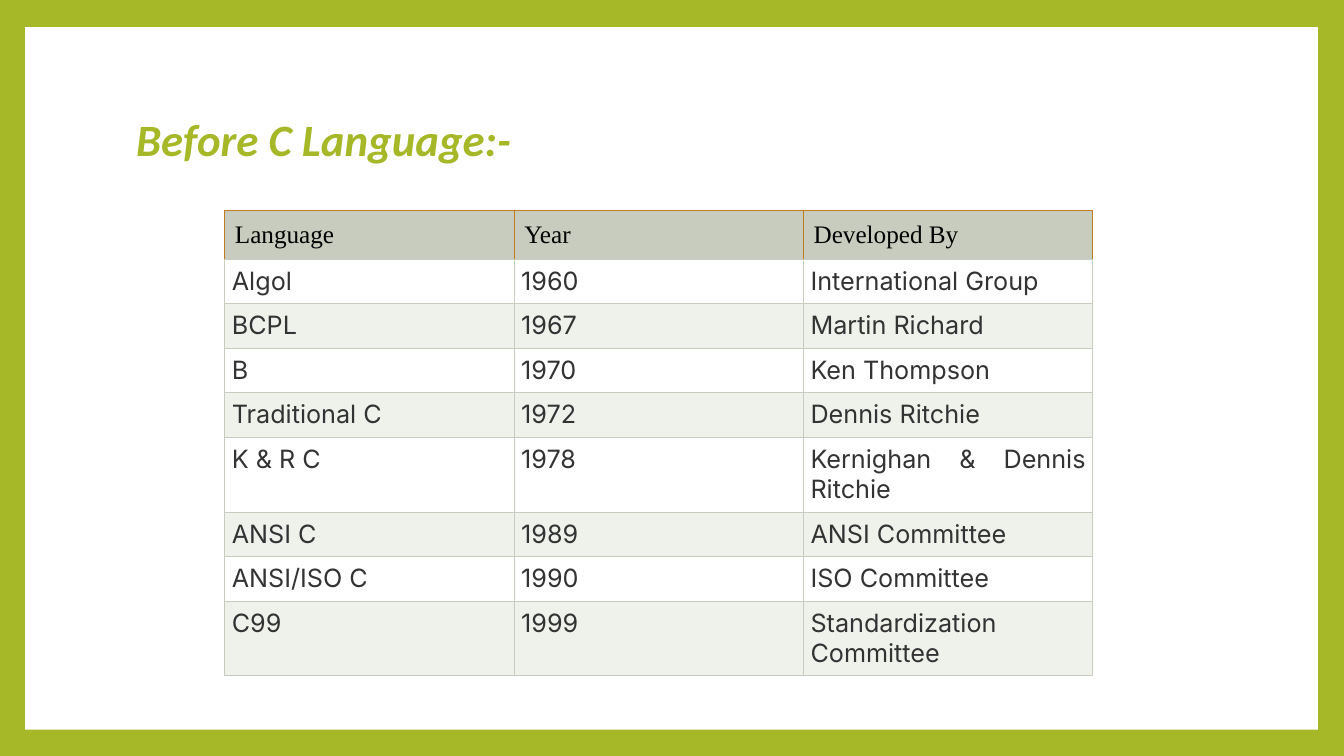
from lxml.etree import SubElement
from pptx import Presentation
from pptx.dml.color import RGBColor
from pptx.enum.shapes import MSO_SHAPE
from pptx.enum.text import MSO_ANCHOR, PP_ALIGN
from pptx.oxml.ns import qn
from pptx.util import Inches, Pt

# Content
TITLE = "Before C Language:-"
HEADER = ("Language", "Year", "Developed By")
LANGUAGES = [
    ("Algol", "1960", "International Group"),
    ("BCPL", "1967", "Martin Richard"),
    ("B", "1970", "Ken Thompson"),
    ("Traditional C", "1972", "Dennis Ritchie"),
    ("K & R C", "1978", "Kernighan & Dennis Ritchie"),
    ("ANSI C", "1989", "ANSI Committee"),
    ("ANSI/ISO C", "1990", "ISO Committee"),
    ("C99", "1999", "Standardization Committee"),
]

# Style
COLORS = {
    "lime": "A6B727", "panel": "FFFFFF", "header": "C7CCBE", "band": "EFF1EB",
    "header_edge": "C07C20", "header_text": "000000", "body_text": "333333",
}
SLIDE_W, SLIDE_H = 13.33, 7.5
COLUMN_W = 2.87
HEADER_H, LINE_H, ROW_PADDING = 0.48, 0.3, 0.14
CHARS_PER_LINE = 22


def color(name):
    return RGBColor.from_string(COLORS[name])


def place(shape, left, top, width, height):
    shape.left, shape.top = Inches(left), Inches(top)
    shape.width, shape.height = Inches(width), Inches(height)


def format_run(run, size, font, ink):
    run.font.size, run.font.name = Pt(size), font
    run.font.color.rgb = color(ink)


def set_borders(cell, edges):
    properties = cell._tc.get_or_add_tcPr()
    for side, edge in zip("LRTB", edges):
        line = SubElement(properties, qn(f"a:ln{side}"), w=str(Pt(0.6)))
        SubElement(SubElement(line, qn("a:solidFill")), qn("a:srgbClr"), val=COLORS[edge])


def fill_cell(cell, text, inset, font, ink, fill, align, edges):
    cell.text_frame.text = text
    cell.margin_left = cell.margin_right = Inches(inset)
    cell.margin_top = cell.margin_bottom = Inches(inset)
    paragraph = cell.text_frame.paragraphs[0]
    paragraph.alignment = align
    format_run(paragraph.runs[0], 18, font, ink)
    set_borders(cell, edges)
    cell.fill.solid()
    cell.fill.fore_color.rgb = color(fill)


presentation = Presentation()
presentation.slide_width, presentation.slide_height = Inches(SLIDE_W), Inches(SLIDE_H)
slide = presentation.slides.add_slide(presentation.slide_layouts[5])

# Lime frame around a white panel, which goes behind the title
slide.background.fill.solid()
slide.background.fill.fore_color.rgb = color("lime")
panel = slide.shapes.add_shape(
    MSO_SHAPE.RECTANGLE, Inches(0.25), Inches(0.27), Inches(12.82), Inches(6.97))
panel.shadow.inherit = False
panel.fill.solid()
panel.fill.fore_color.rgb = color("panel")
panel.line.fill.background()
slide.shapes._spTree.insert(2, panel._element)

# Title
title = slide.shapes.title
place(title, 1.25, 0.67, 10.8, 1.48)
title.text_frame.text = TITLE
title.text_frame.vertical_anchor = MSO_ANCHOR.MIDDLE
heading = title.text_frame.paragraphs[0]
heading.alignment, heading.line_spacing = PP_ALIGN.LEFT, 0.9
format_run(heading.runs[0], 32, "Calibri", "lime")
heading.runs[0].font.bold = heading.runs[0].font.italic = True

# Table: a row is one or two lines high, by its longest text
row_heights = [HEADER_H] + [
    ROW_PADDING + LINE_H * (2 if max(map(len, row)) > CHARS_PER_LINE else 1)
    for row in LANGUAGES]
history = slide.shapes.add_table(
    len(row_heights), len(HEADER), Inches(2.23), Inches(2.09),
    Inches(COLUMN_W * len(HEADER)), Inches(sum(row_heights))).table
for column in history.columns:
    column.width = Inches(COLUMN_W)
for row, height in zip(history.rows, row_heights):
    row.height = Inches(height)

for c, label in enumerate(HEADER):
    fill_cell(history.cell(0, c), label, 0.1, "Times New Roman", "header_text",
              "header", PP_ALIGN.LEFT, ["header_edge"] * 3 + ["header"])
for r, language in enumerate(LANGUAGES, start=1):
    for c, value in enumerate(language):
        fill_cell(history.cell(r, c), value, 0.07, "Inter", "body_text",
                  "panel" if r % 2 else "band", PP_ALIGN.JUSTIFY, ["header"] * 4)

presentation.save("out.pptx")
